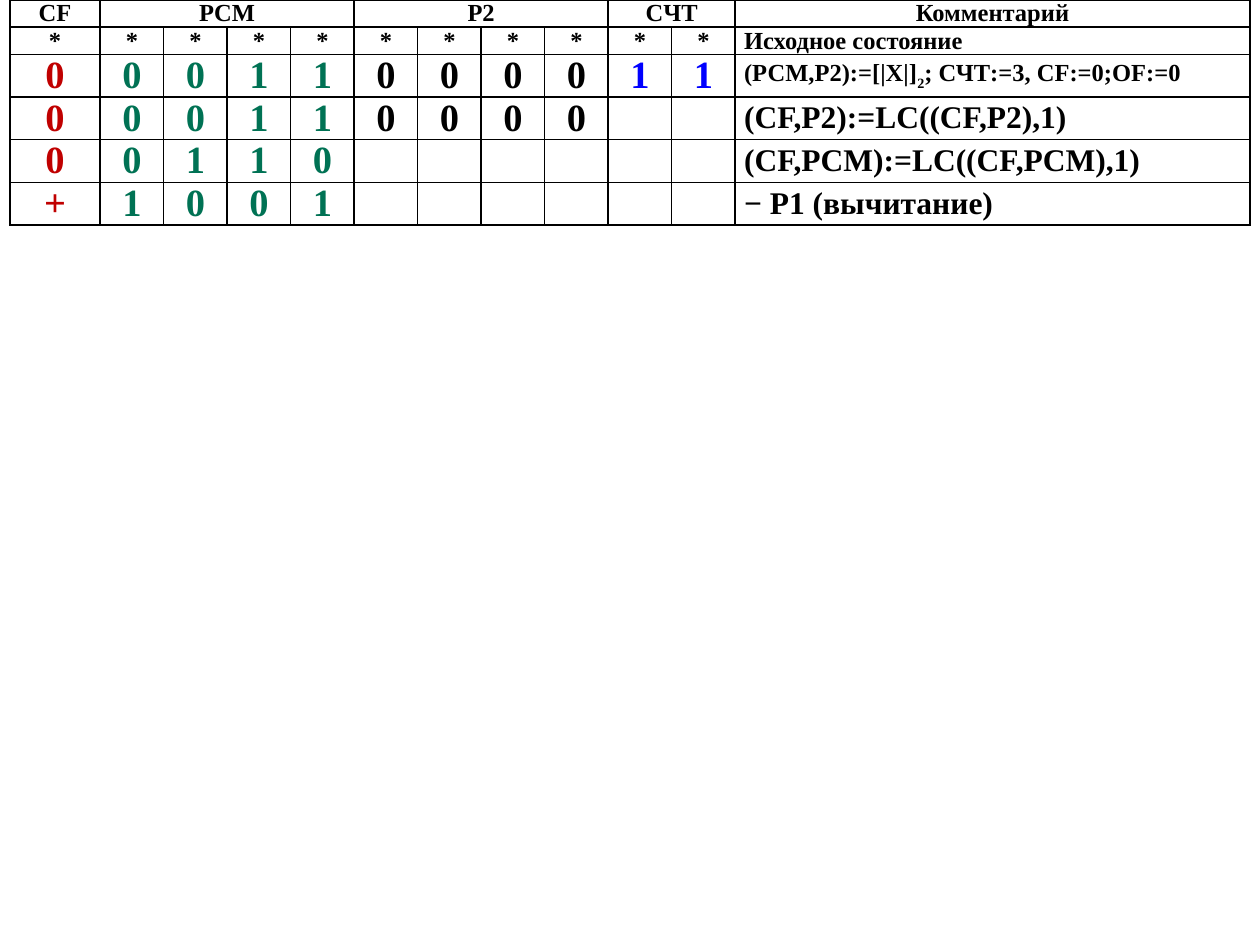
from dataclasses import dataclass

from lxml import etree
from pptx import Presentation
from pptx import util as u
from pptx.dml.color import RGBColor
from pptx.enum import text
from pptx.oxml import ns


@dataclass(frozen=True)
class Theme:
    font: str = "Times New Roman"
    black: str = "000000"
    red: str = "C00000"
    green: str = "007254"
    blue: str = "0000FF"
    small: int = 14
    medium: int = 18
    large: int = 22
    border: float = 1


THEME = Theme()
COL_WIDTHS = [1.82] + [1.28] * 10 + [10.38]
ROW_HEIGHTS = [0.38] * 2 + [0.76] * 4
BIT_COLORS = [THEME.red] + [THEME.green] * 4 + [THEME.black] * 4 + [THEME.blue] * 2
COMMENT_COL = len(BIT_COLORS)
HEADERS = [(0, 1, "CF"), (1, 4, "PCM"), (5, 4, "P2"), (9, 2, "CЧТ"),
           (COMMENT_COL, 1, "Комментарий")]
STEPS = [
    ("00011000011", ["(РСМ,Р2):=[|Х|]", "2", "; СЧТ:=3, CF:=0;OF:=0"], THEME.small),
    ("000110000", ["(CF,P2):=LC((CF,P2),1)"], THEME.medium),
    ("00110", ["(CF,PСМ):=LC((CF,PСМ),1)"], THEME.medium),
    ("+1001", ["− Р1 (вычитание)"], THEME.medium),
]


def add_text(p, content, size=THEME.small, color=THEME.black, baseline=0,
             align=text.PP_ALIGN.CENTER):
    p.alignment = align
    p.space_after = u.Pt(1)
    r = p.add_run()
    r.text = content
    r.font.name = THEME.font
    r.font.size = u.Pt(size)
    r.font.bold = True
    r.font.color.rgb = RGBColor.from_string(color)
    if baseline:
        r.font._element.set("baseline", str(baseline))


def add_borders(cell):
    tc_pr = cell._tc.get_or_add_tcPr()
    for side in ("lnL", "lnR", "lnT", "lnB"):
        line = etree.SubElement(tc_pr, ns.qn(f"a:{side}"), w=str(u.Pt(THEME.border)))
        fill = etree.SubElement(line, ns.qn("a:solidFill"))
        etree.SubElement(fill, ns.qn("a:srgbClr"), val=THEME.black)


def format_cell(cell, anchor):
    cell.margin_left = cell.margin_right = u.Cm(0.18)
    cell.margin_top = cell.margin_bottom = 0
    cell.vertical_anchor = anchor
    add_borders(cell)
    cell.fill.background()


def add_grid(s):
    frame = s.shapes.add_table(len(ROW_HEIGHTS), len(COL_WIDTHS), u.Cm(0.2), 0,
                               u.Cm(sum(COL_WIDTHS)), u.Cm(sum(ROW_HEIGHTS)))
    table = frame.table
    table.first_row = table.horz_banding = False
    for column, width in zip(table.columns, COL_WIDTHS):
        column.width = u.Cm(width)
    for i, (row, height) in enumerate(zip(table.rows, ROW_HEIGHTS)):
        row.height = u.Cm(height)
        anchor = text.MSO_ANCHOR.MIDDLE if i else text.MSO_ANCHOR.TOP
        for cell in row.cells:
            format_cell(cell, anchor)
    return table


def fill_headers(table):
    for col, span, label in HEADERS:
        cell = table.cell(0, col)
        if span > 1:
            cell.merge(table.cell(0, col + span - 1))
        add_text(cell.text_frame.paragraphs[0], label)


def fill_comment(table, row, parts, size):
    p = table.cell(row, COMMENT_COL).text_frame.paragraphs[0]
    for i, part in enumerate(parts):
        add_text(p, part, size=size, baseline=-25000 * (i % 2),
                 align=text.PP_ALIGN.LEFT)


def fill_initial_state(table):
    for col in range(COMMENT_COL):
        add_text(table.cell(1, col).text_frame.paragraphs[0], "*")
    fill_comment(table, 1, ["Исходное состояние"], THEME.small)


def fill_steps(table):
    for row, (bits, comment, size) in enumerate(STEPS, start=2):
        for col, (bit, color) in enumerate(zip(bits, BIT_COLORS)):
            p = table.cell(row, col).text_frame.paragraphs[0]
            add_text(p, bit, size=THEME.large, color=color)
        fill_comment(table, row, comment, size)


def main():
    prs = Presentation()
    prs.slide_width, prs.slide_height = u.Cm(25.4), u.Cm(19.05)
    s = prs.slides.add_slide(prs.slide_layouts[6])
    table = add_grid(s)
    fill_headers(table)
    fill_initial_state(table)
    fill_steps(table)
    prs.save("out.pptx")


if __name__ == "__main__":
    main()
